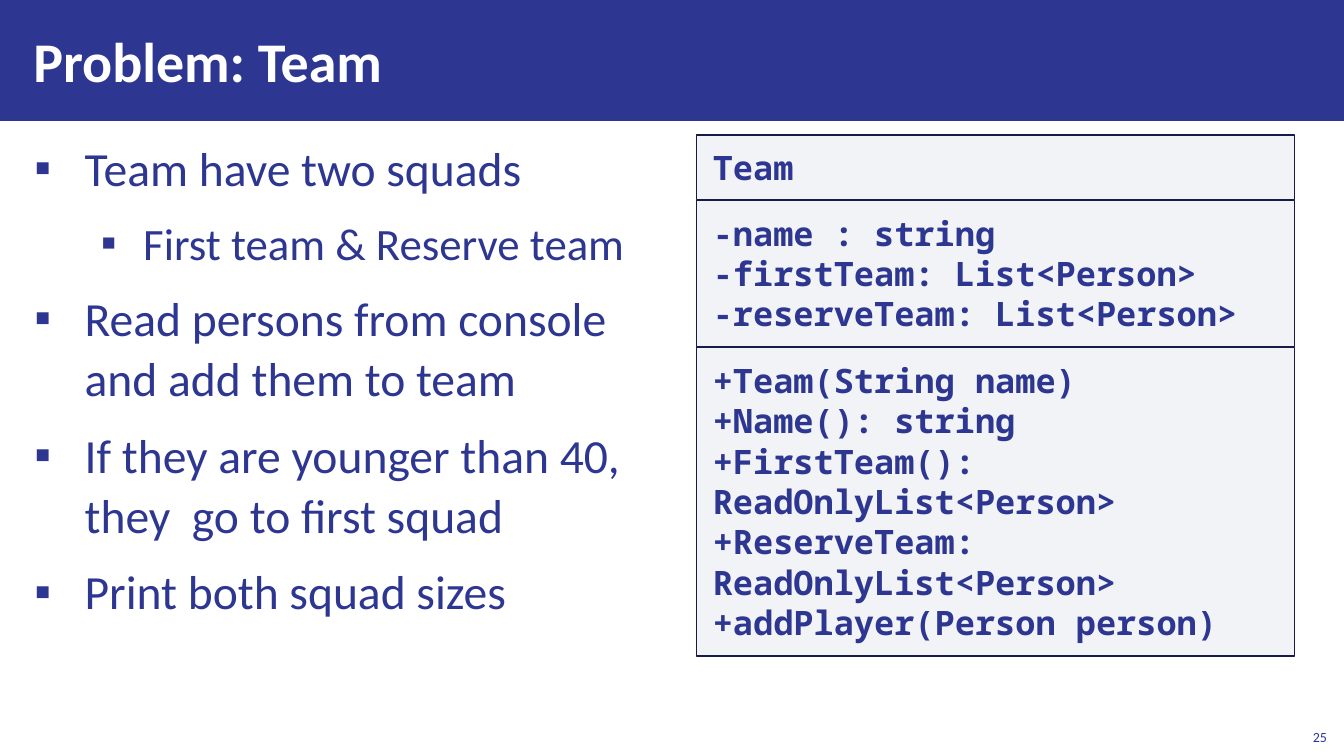
from dataclasses import dataclass

from pptx import Presentation
from pptx.dml.color import RGBColor as RGB
from pptx.enum.shapes import MSO_SHAPE as SHAPE
from pptx.enum.text import MSO_ANCHOR as ANCHOR, MSO_AUTO_SIZE as FIT, PP_ALIGN as ALIGN
from pptx.oxml.ns import qn
from pptx.util import Inches, Pt
from lxml.etree import SubElement


@dataclass(frozen=True)
class Theme:
    """Colours, fonts and type sizes of the slide."""
    navy: RGB = RGB(0x2D, 0x37, 0x91)
    edge: RGB = RGB(0x17, 0x1B, 0x48)
    panel: RGB = RGB(0xAD, 0xB4, 0xC3)
    white: RGB = RGB(0xFF, 0xFF, 0xFF)
    panel_alpha: int = 15
    font: str = "Calibri"
    mono: str = "Noto Sans Mono"
    title: int = 40
    levels: tuple = (34, 32)
    code: int = 24
    number: int = 10


T = Theme()
W, H = 13.33, 7.5
BAND_H = 0.16 * H
INDENTS = ((0.5, 0.5), (1.08, 0.42))

BULLETS = (
    (0, "Team have two squads"),
    (1, "First team & Reserve team"),
    (0, "Read persons from console \nand add them to team"),
    (0, "If they are younger than 40, \nthey  go to first squad"),
    (0, "Print both squad sizes"),
)
COMPARTMENTS = (
    (0.64, "Team"),
    (1.45, "-name : string\n-firstTeam: List<Person>\n-reserveTeam: List<Person>"),
    (3.06, "+Team(String name)\n+Name(): string\n+FirstTeam(): ReadOnlyList<Person>\n"
           "+ReserveTeam: ReadOnlyList<Person>\n+addPlayer(Person person)"),
)


def place(s, box):
    """Move a shape to a box of left, top, width and height in inches."""
    s.left, s.top, s.width, s.height = map(Inches, box)


def set_frame(tf, anchor, margin_x, margin_y, fit=FIT.NONE):
    """Set wrapping, anchor and margins of a text frame."""
    tf.word_wrap = True
    tf.auto_size = fit
    tf.vertical_anchor = anchor
    tf.margin_left = tf.margin_right = Inches(margin_x)
    tf.margin_top = tf.margin_bottom = Inches(margin_y)


def write(p, text, size, color, font=T.font, bold=False, align=ALIGN.LEFT):
    """Write text into a paragraph, one run for each line."""
    p.alignment = align
    for i, line in enumerate(text.split("\n")):
        if i:
            p.add_line_break()
        r = p.add_run()
        r.text = line
        r.font.size, r.font.name, r.font.bold = Pt(size), font, bold
        r.font.color.rgb = color


def space(p):
    """Set the spacing before and after a paragraph."""
    p.space_before = p.space_after = Pt(6)


def set_bullet(p, level):
    """Give a paragraph its level, hanging indent and square bullet."""
    p.level = level
    left, hang = INDENTS[level]
    pPr = p._p.get_or_add_pPr()
    pPr.set("marL", str(Inches(left)))
    pPr.set("indent", str(-Inches(hang)))
    SubElement(pPr, qn("a:buChar")).set("char", "▪")


def add_header(slide, box, text):
    """Draw the title band and set the title over it."""
    x, y, w, h = box
    band = slide.shapes.add_shape(SHAPE.RECTANGLE, *map(Inches, box))
    band.shadow.inherit = False
    band.fill.solid()
    band.fill.fore_color.rgb = T.navy
    band.line.fill.background()
    slide.shapes._spTree.insert(2, band._element)
    title = slide.shapes.title
    place(title, (x + 0.21, y + 0.11, 0.78 * w, h - 0.23))
    set_frame(title.text_frame, ANCHOR.MIDDLE, 0.12, 0.04)
    write(title.text_frame.paragraphs[0], text, T.title, T.white, bold=True)


def add_bullets(slide, box, items):
    """Fill the body placeholder with a two-level list."""
    body = slide.placeholders[1]
    place(body, box)
    tf = body.text_frame
    set_frame(tf, ANCHOR.TOP, 0.12, 0.04)
    for i, (level, text) in enumerate(items):
        p = tf.add_paragraph() if i else tf.paragraphs[0]
        p.line_spacing = 1.05
        space(p)
        set_bullet(p, level)
        write(p, text, T.levels[level], T.navy)


def add_class_diagram(slide, box, compartments, gap=0.01):
    """Stack the compartments of a class from the top of the box."""
    x, y, w, _ = box
    group = slide.shapes.add_group_shape()
    for h, text in compartments:
        s = group.shapes.add_shape(SHAPE.RECTANGLE, *map(Inches, (x, y, w, h)))
        s.shadow.inherit = False
        s.fill.solid()
        s.fill.fore_color.rgb = T.panel
        color = s._element.spPr.find(qn("a:solidFill")).find(qn("a:srgbClr"))
        SubElement(color, qn("a:alpha")).set("val", str(T.panel_alpha * 1000))
        s.line.color.rgb = T.edge
        s.line.width = Pt(1)
        set_frame(s.text_frame, ANCHOR.TOP, 0.16, 0.12, FIT.SHAPE_TO_FIT_TEXT)
        p = s.text_frame.paragraphs[0]
        space(p)
        write(p, text, T.code, T.navy, T.mono, bold=True)
        y += h + gap


def add_page_number(slide, box, number):
    """Set the page number at the bottom right of its box."""
    s = slide.shapes.add_textbox(*map(Inches, box))
    set_frame(s.text_frame, ANCHOR.BOTTOM, 0.1, 0.05)
    write(s.text_frame.paragraphs[0], str(number), T.number, T.navy, align=ALIGN.RIGHT)


def main():
    """Build the slide and save it."""
    prs = Presentation()
    prs.slide_width, prs.slide_height = Inches(W), Inches(H)
    slide = prs.slides.add_slide(prs.slide_layouts[1])
    add_header(slide, (0, 0, W, BAND_H), "Problem: Team")
    add_bullets(slide, (0.22, BAND_H + 0.11, 0.97 * W, 5.69), BULLETS)
    add_class_diagram(slide, (6.91, BAND_H + 0.14, 5.93, 5.17), COMPARTMENTS)
    add_page_number(slide, (W - 0.47, H - 0.38, 0.4, 0.32), 25)
    prs.save("out.pptx")


if __name__ == "__main__":
    main()
